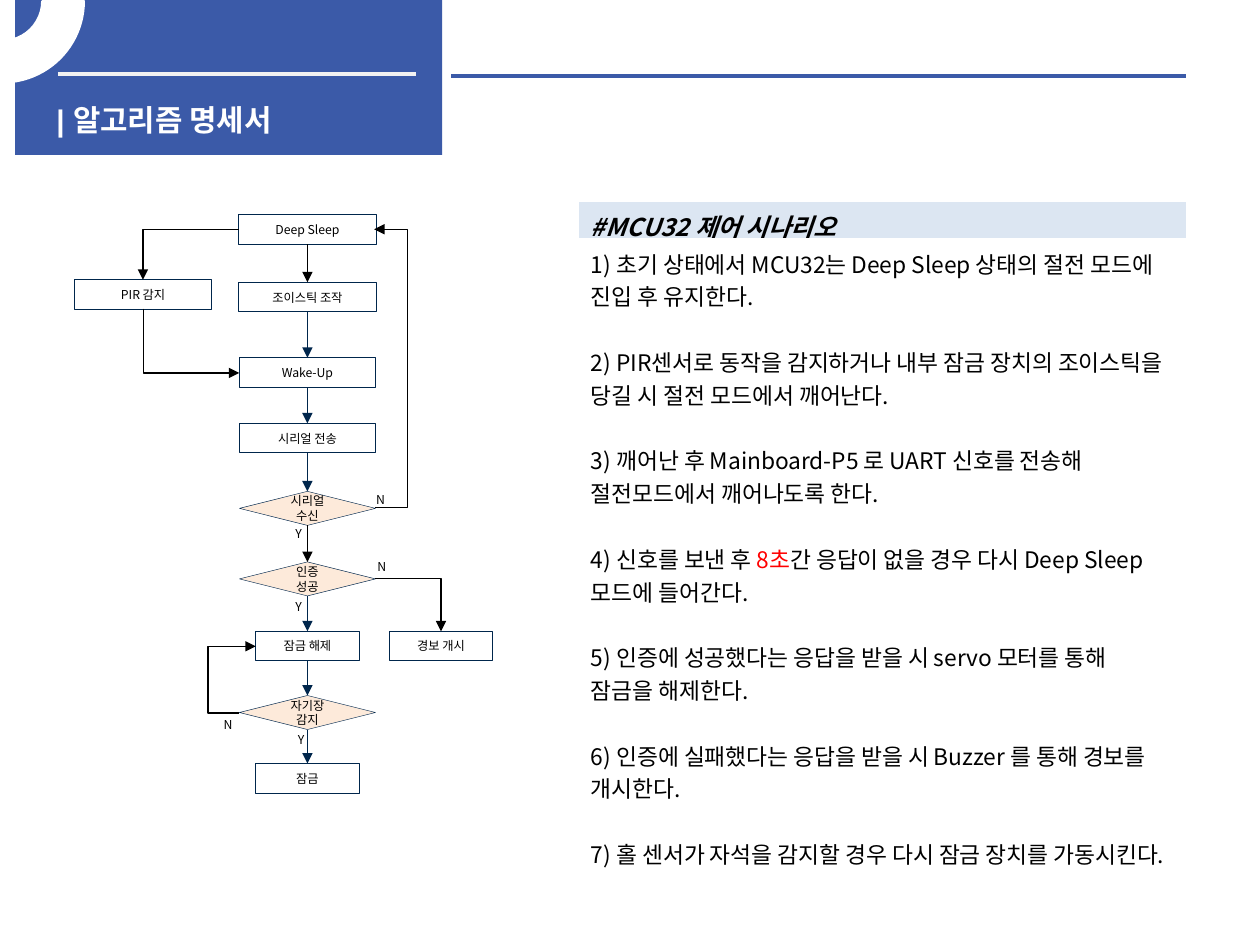
import pptx
import pptx.dml.color
import pptx.enum.shapes
import pptx.enum.text
import pptx.oxml.ns
import pptx.util
from lxml import etree

RGB = pptx.dml.color.RGBColor
SHAPE = pptx.enum.shapes.MSO_SHAPE
CONNECTOR = pptx.enum.shapes.MSO_CONNECTOR
ALIGN = pptx.enum.text.PP_ALIGN
ANCHOR = pptx.enum.text.MSO_ANCHOR
Pt = pptx.util.Pt
qn = pptx.oxml.ns.qn

BLUE = RGB(0x3B, 0x5A, 0xA8)
NAVY = RGB(0x00, 0x26, 0x4C)
PEACH = RGB(0xFD, 0xEA, 0xDA)
PALE = RGB(0xDC, 0xE6, 0xF2)
GREY = RGB(0xF2, 0xF2, 0xF2)
WHITE = RGB(0xFF, 0xFF, 0xFF)
BLACK = RGB(0, 0, 0)
RED = RGB(0xFF, 0, 0)

TOP, BOTTOM = 0, 2
MAIN = 24.4  # centre column of the main flow


class Board:
    """Slide on a grid of 100 columns and 75 rows."""
    font = "Noto Sans CJK KR"
    small = 7

    def __init__(self, prs):
        self.unit = prs.slide_width / 100
        self.shapes = prs.slides.add_slide(prs.slide_layouts[6]).shapes

    def grid(self, *cells):
        return [round(c * self.unit) for c in cells]

    def run(self, p, text, size, color=BLACK, font=None, bold=False, italic=False):
        r = p.add_run()
        r.text = text
        r.font.size = Pt(size)
        r.font.bold, r.font.italic = bold, italic
        r.font.color.rgb = color
        r.font.name = font or self.font
        ea = etree.SubElement(r._r.get_or_add_rPr(), qn("a:ea"))
        ea.set("typeface", self.font)

    def shape(self, kind, box, fill=None, line=None, width=0.5):
        sp = self.shapes.add_shape(kind, *self.grid(*box))
        sp.shadow.inherit = False
        if fill is None:
            sp.fill.background()
        else:
            sp.fill.solid()
            sp.fill.fore_color.rgb = fill
        if line is None:
            sp.line.fill.background()
        else:
            sp.line.color.rgb = line
            sp.line.width = Pt(width)
        return sp

    def node_text(self, sp, text):
        tf = sp.text_frame
        tf.word_wrap = True
        tf.vertical_anchor = ANCHOR.MIDDLE
        p = tf.paragraphs[0]
        p.alignment = ALIGN.CENTER
        self.run(p, text, self.small)
        return sp

    def step(self, text, y, w, centre=MAIN):
        sp = self.shape(SHAPE.RECTANGLE, (centre - w / 2, y, w, 2.35), line=NAVY)
        tf = sp.text_frame
        tf.margin_left = tf.margin_right = tf.margin_top = tf.margin_bottom = self.grid(0.4)[0]
        return self.node_text(sp, text)

    def decision(self, text, y, w=10.8):
        sp = self.shape(SHAPE.FLOWCHART_DECISION, (MAIN - w / 2, y, w, 2.7), PEACH, NAVY, 0.25)
        return self.node_text(sp, text)

    def text(self, text, box, size, color=BLACK, font=None, bold=False, wrap=True, align=None):
        tf = self.shapes.add_textbox(*self.grid(*box)).text_frame
        tf.word_wrap = wrap
        p = tf.paragraphs[0]
        p.alignment = align
        self.run(p, text, size, color, font, bold)

    def label(self, text, x, y):
        self.text(text, (x, y, 2.8, 2.3), self.small, wrap=False, align=ALIGN.CENTER)

    def line(self, start, end, color=BLACK, width=0.75, kind=CONNECTOR.STRAIGHT, arrow=False):
        c = self.shapes.add_connector(kind, *self.grid(*start, *end))
        c.line.color.rgb = color
        c.line.width = Pt(width)
        if arrow:
            etree.SubElement(c.line._get_or_add_ln(), qn("a:tailEnd")).set("type", "triangle")
        etree.SubElement(c._element.spPr, qn("a:effectLst"))
        return c

    def link(self, upper, lower, color=NAVY):
        c = self.line((0, 0), (0, 0), color, arrow=True)
        c.begin_connect(upper, BOTTOM)
        c.end_connect(lower, TOP)

    def corner(self, start, end, down_first=False):
        """One-bend arrow, across then down unless down_first."""
        c = self.line(start, end, kind=CONNECTOR.ELBOW, arrow=True)
        c._element.spPr.find(qn("a:prstGeom")).set("prst", "bentConnector2")
        if down_first:
            w, h = c.width, c.height
            c.left, c.top = c.left + (w - h) // 2, c.top + (h - w) // 2
            c.width, c.height = h, w
            xfrm = c._element.spPr.find(qn("a:xfrm"))
            xfrm.set("rot", str(270 * 60000))
            xfrm.set("flipH", "1")

    def loop(self, start, end, via):
        """Two-bend arrow whose upright lies at column via."""
        c = self.line(start, end, kind=CONNECTOR.ELBOW, arrow=True)
        share = (via - start[0]) / (end[0] - start[0])
        av = c._element.spPr.find(qn("a:prstGeom")).get_or_add_avLst()
        gd = etree.SubElement(av, qn("a:gd"))
        gd.set("name", "adj1")
        gd.set("fmla", f"val {round(share * 100000)}")

    def cell(self, cell, fill, bottom):
        tcPr = cell._tc.get_or_add_tcPr()
        for side, width in (("L", 1), ("R", 1), ("T", 1), ("B", bottom)):
            ln = etree.SubElement(tcPr, qn(f"a:ln{side}"))
            ln.set("w", str(Pt(width)))
            color = etree.SubElement(etree.SubElement(ln, qn("a:solidFill")), qn("a:srgbClr"))
            color.set("val", str(WHITE))
        cell.fill.solid()
        cell.fill.fore_color.rgb = fill

    def scenario(self, box, head_height, heading, items):
        table = self.shapes.add_table(2, 1, *self.grid(*box)).table
        table.rows[0].height, table.rows[1].height = self.grid(head_height, box[3] - head_height)
        head, body = table.cell(0, 0), table.cell(1, 0)
        self.cell(head, PALE, 3)
        self.cell(body, WHITE, 1)
        head.margin_bottom, body.margin_right = self.grid(0.2, 1.55)
        self.run(head.text_frame.paragraphs[0], heading, 14, bold=True, italic=True)
        tf = body.text_frame
        for i, item in enumerate(items):
            p = tf.add_paragraph() if i else tf.paragraphs[0]
            if i:
                p.space_before = Pt(18.8)
            for text, color in item:
                self.run(p, text, 13, color)


def main():
    prs = pptx.Presentation()
    prs.slide_width, prs.slide_height = pptx.util.Inches(10), pptx.util.Inches(7.5)
    s = Board(prs)

    # Title banner
    s.shape(SHAPE.RECTANGLE, (1.2, 0, 33.9, 12.3), BLUE)
    s.line((4.6, 5.9), (33, 5.9), GREY, 2.25)
    s.line((35.8, 6), (94.1, 6), BLUE, 2.25)
    s.text("| 알고리즘 명세서", (3.5, 7.6, 32.3, 3), 17, WHITE, "Arial", True)
    arc = s.shape(SHAPE.BLOCK_ARC, (-6.3, -6.3, 12.9, 12.8), WHITE, WHITE, 2)
    for i, value in enumerate((161.59, 0, 0.25)):
        arc.adjustments[i] = value
    arc._element.spPr.find(qn("a:xfrm")).set("flipV", "1")

    # Flowchart nodes
    sleep = s.step("Deep Sleep", 17.05, 10.9)
    s.step("PIR 감지", 22.2, 10.9, 11.35)
    stick = s.step("조이스틱 조작", 22.4, 10.9)
    wake = s.step("Wake-Up", 28.4, 10.8)
    serial = s.step("시리얼 전송", 33.6, 10.8)
    received = s.decision("시리얼 수신", 39)
    verified = s.decision("인증 성공", 44.6)
    unlock = s.step("잠금 해제", 50.1, 8.2)
    s.step("경보 개시", 50.1, 8.2, 35)
    magnet = s.decision("자기장 감지", 55.2)
    lock = s.step("잠금", 60.6, 8.2)

    # Flowchart arrows
    s.link(sleep, stick, BLACK)
    s.link(received, verified, BLACK)
    for upper, lower in ((stick, wake), (wake, serial), (serial, received),
                         (verified, unlock), (unlock, magnet), (magnet, lock)):
        s.link(upper, lower)
    s.corner((18.95, 18.2), (11.35, 22.2))
    s.corner((11.4, 24.5), (19, 29.6), down_first=True)
    s.corner((29.8, 45.9), (35, 50.1))
    s.loop((29.8, 40.3), (29.7, 18.2), 32.4)
    s.loop((19, 56.6), (20.3, 51.3), 16.5)

    # Branch labels
    for text, x, y in (("N", 28.8, 38.6), ("Y", 22.3, 41.3), ("N", 28.9, 43.9),
                       ("Y", 22.3, 47.1), ("N", 16.7, 56.4), ("Y", 22.5, 57.6)):
        s.label(text, x, y)

    # Scenario table
    s.scenario((45.9, 16, 48.3, 49.8), 3.1, "#MCU32 제어 시나리오", [
        [("1) 초기 상태에서 MCU32는 Deep Sleep 상태의 절전 모드에 진입 후 유지한다.", BLACK)],
        [("2) PIR센서로 동작을 감지하거나 내부 잠금 장치의 조이스틱을 당길 시 절전 모드에서 깨어난다.", BLACK)],
        [("3) 깨어난 후 Mainboard-P5 로 UART 신호를 전송해 절전모드에서 깨어나도록 한다.", BLACK)],
        [("4) 신호를 보낸 후 ", BLACK), ("8초", RED),
         ("간 응답이 없을 경우 다시 Deep Sleep 모드에 들어간다.", BLACK)],
        [("5) 인증에 성공했다는 응답을 받을 시 servo 모터를 통해 잠금을 해제한다.", BLACK)],
        [("6) 인증에 실패했다는 응답을 받을 시 Buzzer 를 통해 경보를 개시한다.", BLACK)],
        [("7) 홀 센서가 자석을 감지할 경우 다시 잠금 장치를 가동시킨다.", BLACK)],
    ])

    prs.save("out.pptx")


if __name__ == "__main__":
    main()
